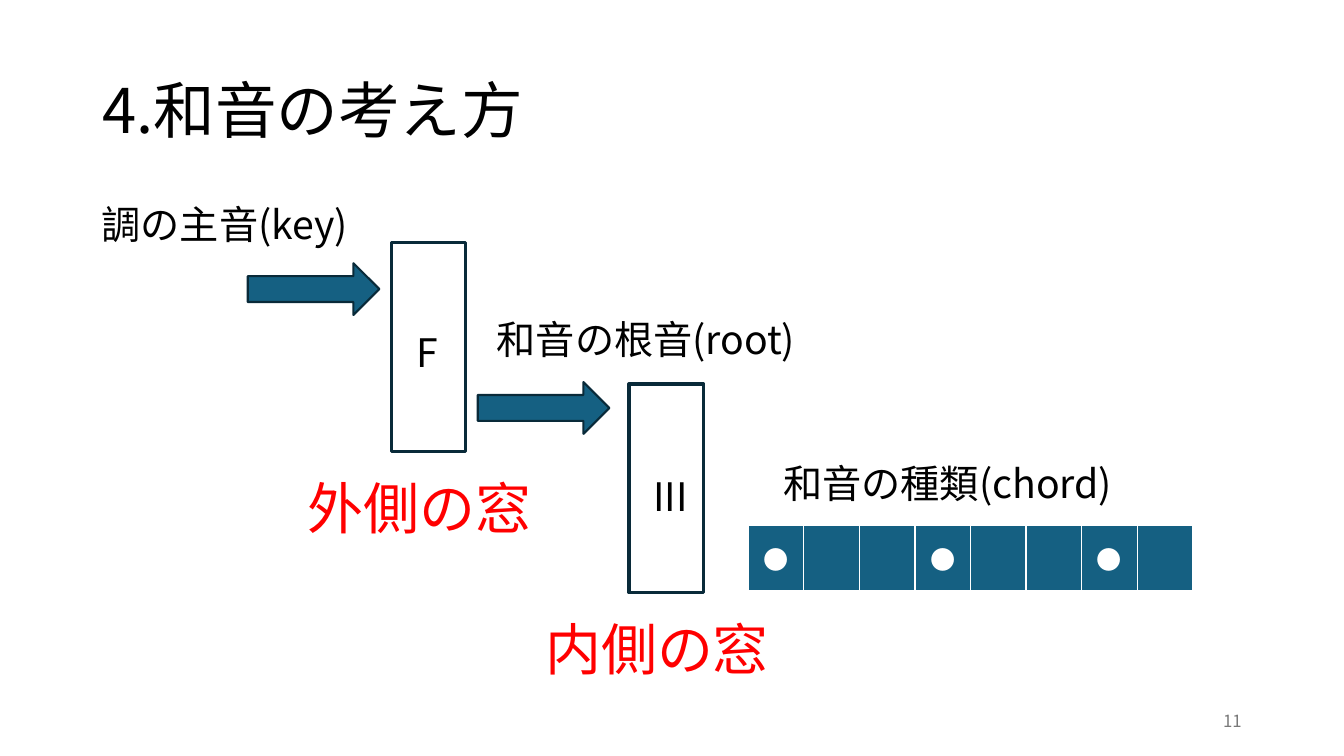
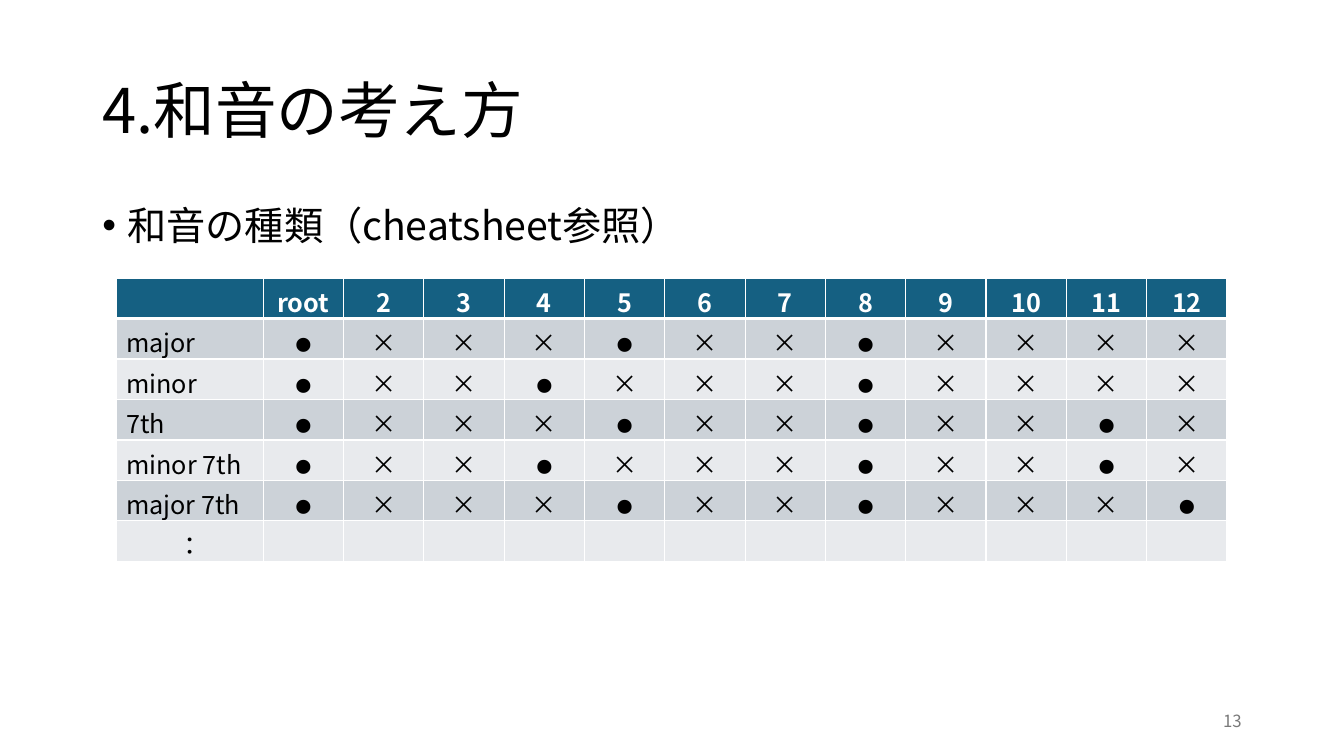
from pptx import Presentation
from pptx.dml.color import RGBColor
from pptx.enum.shapes import MSO_SHAPE as Shape
from pptx.enum.text import MSO_ANCHOR as Anchor, PP_ALIGN as Align
from pptx.oxml.ns import qn
from pptx.util import Pt
from lxml.etree import SubElement, Element

FONT = "Noto Sans CJK JP"
COLORS = {
    "text": "000000",
    "accent": "156082",
    "outline": "092A39",
    "caption": "FF0000",
    "number": "797979",
    "white": "FFFFFF",
    "odd_row": "CCD2D8",
    "even_row": "E8EAED",
}
TITLE = "4.和音の考え方"
DOT, CROSS = "⚫︎", "×"
CHORDS = {
    "major": (1, 5, 8),
    "minor": (1, 4, 8),
    "7th": (1, 5, 8, 11),
    "minor 7th": (1, 4, 8, 11),
    "major 7th": (1, 5, 8, 12),
}


def color(name):
    return RGBColor.from_string(COLORS[name])


def write(frame, text, size, tint="text", align=Align.LEFT, bold=False):
    """Fill a text frame with one styled paragraph and return it."""
    frame.text = text
    para = frame.paragraphs[0]
    para.alignment = align
    for span in para.runs:
        font = span.font
        font.name, font.size, font.bold = FONT, Pt(size), bold
        font.color.rgb = color(tint)
        for script in ("a:ea", "a:cs"):
            SubElement(font._element, qn(script)).set("typeface", FONT)
    return para


def add_text(page, box, text, size, tint="text", align=Align.LEFT, anchor=Anchor.TOP):
    frame = page.shapes.add_textbox(*map(Pt, box)).text_frame
    frame.word_wrap = True
    frame.vertical_anchor = anchor
    return write(frame, text, size, tint, align)


def add_outlined(page, kind, box, line_width, fill=None):
    shape = page.shapes.add_shape(kind, *map(Pt, box))
    shape.shadow.inherit = False
    if fill:
        shape.fill.solid()
        shape.fill.fore_color.rgb = color(fill)
    else:
        shape.fill.background()
    shape.line.color.rgb = color("outline")
    shape.line.width = Pt(line_width)


def style_cell(cell, fill, bottom=1):
    """Fill a cell and give it white borders, the lower one of its own width."""
    cell.fill.solid()
    cell.fill.fore_color.rgb = color(fill)
    properties = cell._tc.get_or_add_tcPr()
    sides = (("a:lnL", 1), ("a:lnR", 1), ("a:lnT", 1), ("a:lnB", bottom))
    for position, (side, width) in enumerate(sides):
        border = Element(qn(side), w=str(Pt(width)))
        paint = SubElement(border, qn("a:solidFill"))
        SubElement(paint, qn("a:srgbClr"), val=COLORS["white"])
        properties.insert(position, border)


def add_grid(page, left, top, widths, row_height, row_count):
    box = (left, top, sum(widths), row_height * row_count)
    table = page.shapes.add_table(row_count, len(widths), *map(Pt, box)).table
    for column, width in zip(table.columns, widths):
        column.width = Pt(width)
    for row in table.rows:
        row.height = Pt(row_height)
    return table


def start_page(deck, number):
    """Add a page with the shared title and its page number."""
    page = deck.slides.add_slide(deck.slide_layouts[6])
    title = add_text(page, (66, 28.8, 828, 104.4), TITLE, 44, anchor=Anchor.MIDDLE)
    title.line_spacing = 0.9
    add_text(page, (678, 500.5, 216, 28.8), str(number), 12, "number",
             Align.RIGHT, Anchor.MIDDLE)
    return page


def add_window(page, left, top, note, note_shift, caption):
    """Draw a tall frame with a note inside and a red caption below."""
    shift_x, shift_y = note_shift
    add_outlined(page, Shape.RECTANGLE, (left, top, 53.3, 149), 2.25)
    add_text(page, (left + shift_x, top + shift_y, 42.5, 41.2), note, 28)
    add_text(page, (left - 67, top + 161.3, 186.5, 55.7), caption, 40, "caption")


def add_input(page, left, top, label, label_shift, label_width):
    """Draw an arrow with its label above."""
    shift_x, shift_y = label_shift
    add_outlined(page, Shape.RIGHT_ARROW, (left, top, 94, 37), 1.5, "accent")
    add_text(page, (left + shift_x, top + shift_y, label_width, 41.2), label, 28)


def add_chord_strip(page, left, top):
    add_text(page, (left + 18, top - 50.4, 302, 41.2), "和音の種類(chord)", 28)
    table = add_grid(page, left, top, [39.7] * 8, 47.5, 1)
    for index, cell in enumerate(table.rows[0].cells):
        style_cell(cell, "accent", bottom=3)
        cell.vertical_anchor = Anchor.MIDDLE
        if index % 3 == 0:
            write(cell.text_frame, "●", 18, "white", Align.CENTER, True)


def add_chord_table(page, left, top):
    rows = [["", "root", *map(str, range(2, 13))]]
    for name, tones in CHORDS.items():
        rows.append([name] + [DOT if step in tones else CROSS for step in range(1, 13)])
    rows.append(["："] + [""] * 12)
    table = add_grid(page, left, top, [105] + [57.4] * 12, 28.9, len(rows))
    for y, texts in enumerate(rows):
        header = y == 0
        fill = "accent" if header else "odd_row" if y % 2 else "even_row"
        for x, text in enumerate(texts):
            cell = table.cell(y, x)
            style_cell(cell, fill, bottom=3 if header else 1)
            align = Align.LEFT if text in CHORDS and x == 0 else Align.CENTER
            write(cell.text_frame, text, 18, "white" if header else "text", align, header)


def add_bullet(page, box, text):
    para = add_text(page, box, text, 28)
    para.line_spacing = 0.9
    para.space_before = Pt(10)
    properties = para._p.get_or_add_pPr()
    properties.set("marL", str(Pt(18)))
    properties.set("indent", str(-Pt(18)))
    SubElement(properties, qn("a:buFont"), typeface="Arial")
    SubElement(properties, qn("a:buChar"), char="•")


def build_window_page(deck):
    page = start_page(deck, 11)
    add_input(page, 177, 188, "調の主音(key)", (-111.5, -48.3), 207.4)
    add_window(page, 279.4, 173.5, "F", (10.8, 57.6), "外側の窓")
    add_input(page, 341.3, 272.9, "和音の根音(root)", (6.5, -51.1), 244.8)
    add_window(page, 449.3, 274.3, "III", (10.1, 59.8), "内側の窓")
    add_chord_strip(page, 534.5, 375.1)


def build_chord_page(deck):
    page = start_page(deck, 13)
    add_bullet(page, (66, 144, 828, 44), "和音の種類（cheatsheet参照）")
    add_chord_table(page, 83, 198.7)


def main():
    deck = Presentation()
    deck.slide_width, deck.slide_height = Pt(960), Pt(540)
    build_window_page(deck)
    build_chord_page(deck)
    deck.save("out.pptx")


if __name__ == "__main__":
    main()
